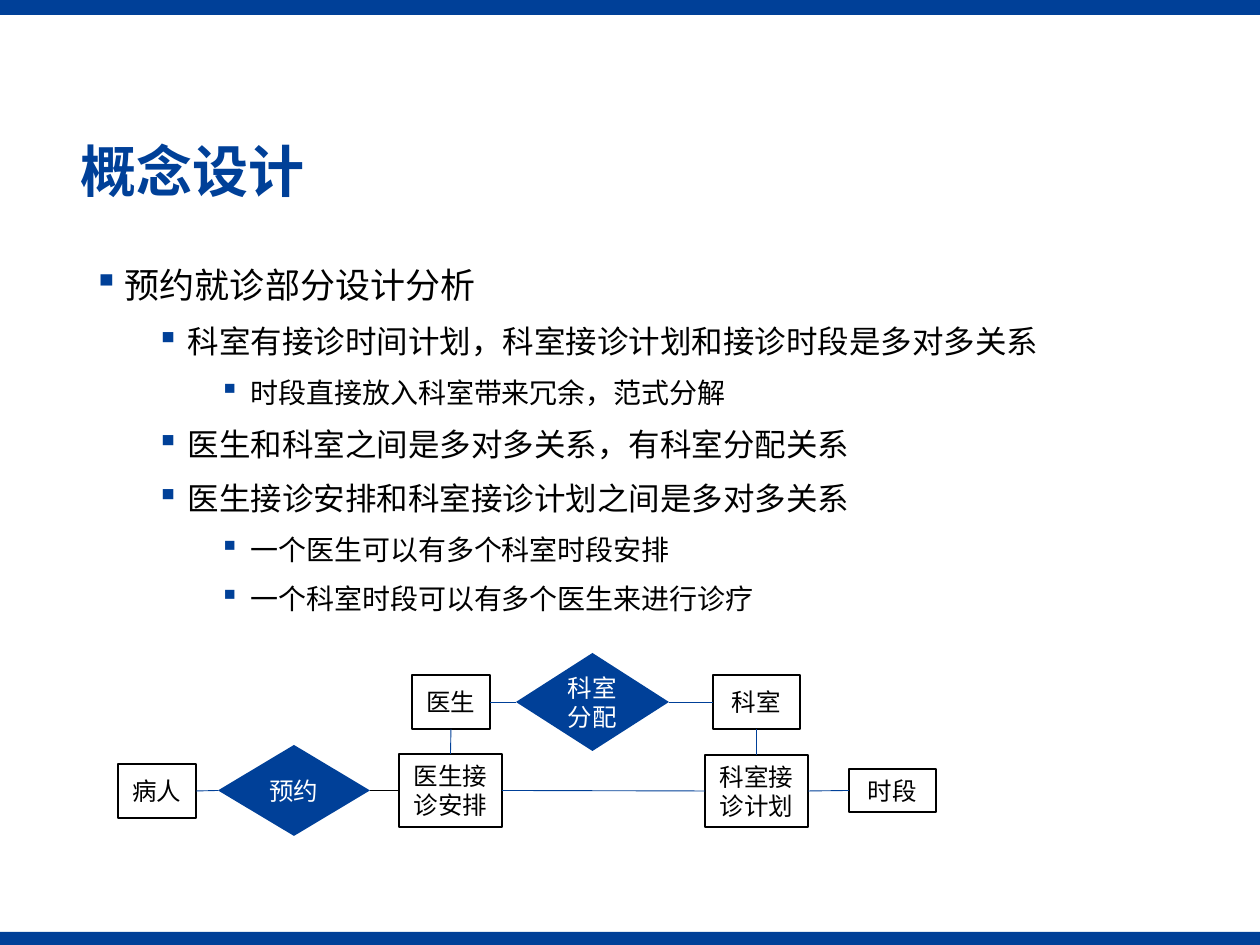
import pptx
import pptx.dml.color
import pptx.enum.shapes
import pptx.enum.text
import pptx.oxml.ns
import pptx.util
from lxml import etree

BLUE = pptx.dml.color.RGBColor(0x00, 0x40, 0x98)
BLACK = pptx.dml.color.RGBColor(0x00, 0x00, 0x00)
WHITE = pptx.dml.color.RGBColor(0xFF, 0xFF, 0xFF)
FONT = "Noto Sans CJK SC"
PX_PER_INCH = 126
WIDTH, HEIGHT = 1260, 945
SHAPES = pptx.enum.shapes.MSO_SHAPE
ANCHOR = pptx.enum.text.MSO_ANCHOR
ALIGN = pptx.enum.text.PP_ALIGN
TOP, LEFT, BOTTOM, RIGHT = range(4)

OUTLINE = [
    (0, "预约就诊部分设计分析"),
    (1, "科室有接诊时间计划，科室接诊计划和接诊时段是多对多关系"),
    (2, "时段直接放入科室带来冗余，范式分解"),
    (1, "医生和科室之间是多对多关系，有科室分配关系"),
    (1, "医生接诊安排和科室接诊计划之间是多对多关系"),
    (2, "一个医生可以有多个科室时段安排"),
    (2, "一个科室时段可以有多个医生来进行诊疗"),
]
LEVEL_SIZES = [20, 18, 16]
LEVEL_SPACES = [10, 5, 5]

ENTITIES = {
    "医生": (294, 22, 78, 54),
    "科室": (595, 22, 87, 54),
    "病人": (0, 111, 78, 54),
    "医生接诊安排": (281, 101, 103, 73),
    "科室接诊计划": (587, 102, 103, 72),
    "时段": (731, 116, 87, 43),
}
RELATIONS = {
    "科室分配": (398, 0, 153, 98),
    "预约": (100, 92, 152, 91),
}
LINKS = [
    ("医生", RIGHT, "科室分配", LEFT, BLUE),
    ("科室分配", RIGHT, "科室", LEFT, BLUE),
    ("病人", RIGHT, "预约", LEFT, BLUE),
    ("预约", RIGHT, "医生接诊安排", LEFT, BLACK),
    ("医生", BOTTOM, "医生接诊安排", TOP, BLUE),
    ("科室", BOTTOM, "科室接诊计划", TOP, BLUE),
    ("医生接诊安排", RIGHT, "科室接诊计划", LEFT, BLUE),
    ("科室接诊计划", RIGHT, "时段", LEFT, BLUE),
]


def px(length):
    """Turn pixels into EMU."""
    return pptx.util.Emu(round(length * 914400 / PX_PER_INCH))


def set_attributes(target, values):
    """Set each named attribute of the target."""
    for name, value in values.items():
        setattr(target, name, value)


def add_run(paragraph, text, size, color, bold=False):
    """Add a run in the slide's font, for Latin and East Asian text."""
    run = paragraph.add_run()
    run.text = text
    set_attributes(run.font, {"name": FONT, "size": pptx.util.Pt(size), "bold": bold})
    run.font.color.rgb = color
    properties = run.font._element
    etree.SubElement(properties, pptx.oxml.ns.qn("a:ea"), typeface=FONT)


def add_bullet(paragraph, level):
    """Give the paragraph a blue square bullet and a hanging indent."""
    properties = paragraph._p.get_or_add_pPr()
    hanging = pptx.util.Inches(0.25)
    properties.set("marL", str(hanging + level * pptx.util.Inches(0.5)))
    properties.set("indent", str(-hanging))
    color = etree.SubElement(properties, pptx.oxml.ns.qn("a:buClr"))
    etree.SubElement(color, pptx.oxml.ns.qn("a:srgbClr"), val=str(BLUE))
    etree.SubElement(properties, pptx.oxml.ns.qn("a:buChar"), char="▪")


def add_shape(slide, kind, box, fill, line=None):
    """Add a flat filled shape, outlined only when a line colour is given."""
    shape = slide.shapes.add_shape(kind, *map(px, box))
    shape.shadow.inherit = False
    shape.fill.solid()
    shape.fill.fore_color.rgb = fill
    if line is None:
        shape.line.fill.background()
    else:
        shape.line.color.rgb = line
        shape.line.width = pptx.util.Pt(1)
    return shape


def add_text_frame(slide, box, anchor):
    """Add a wrapping text box and return its frame."""
    frame = slide.shapes.add_textbox(*map(px, box)).text_frame
    set_attributes(frame, {"word_wrap": True, "vertical_anchor": anchor})
    return frame


def add_bands(slide, box):
    """Add the blue bands along the top and bottom of the box."""
    left, top, width, height = box
    for band_top, band_height in ((top, 15), (top + height - 13, 13)):
        add_shape(slide, SHAPES.RECTANGLE, (left, band_top, width, band_height), BLUE)


def add_title(slide, box, text):
    """Add the slide title."""
    paragraph = add_text_frame(slide, box, ANCHOR.MIDDLE).paragraphs[0]
    paragraph.line_spacing = 0.9
    add_run(paragraph, text, 32, BLUE, bold=True)


def add_outline(slide, box, items):
    """Add the bulleted outline."""
    frame = add_text_frame(slide, box, ANCHOR.TOP)
    for index, (level, text) in enumerate(items):
        paragraph = frame.add_paragraph() if index else frame.paragraphs[0]
        space = pptx.util.Pt(LEVEL_SPACES[level])
        set_attributes(paragraph, {"level": level, "line_spacing": 1.2, "space_before": space})
        add_bullet(paragraph, level)
        add_run(paragraph, text, LEVEL_SIZES[level], BLACK)


def add_node(slide, kind, box, text, fill, line, color):
    """Add one labelled node of the diagram."""
    shape = add_shape(slide, kind, box, fill, line)
    set_attributes(shape.text_frame, {"word_wrap": True, "vertical_anchor": ANCHOR.MIDDLE})
    paragraph = shape.text_frame.paragraphs[0]
    paragraph.alignment = ALIGN.CENTER
    add_run(paragraph, text, 14, color)
    return shape


def add_link(slide, start, start_side, end, end_side, color):
    """Join the sides of two nodes with a thin line."""
    straight = pptx.enum.shapes.MSO_CONNECTOR.STRAIGHT
    connector = slide.shapes.add_connector(straight, 0, 0, 0, 0)
    connector.begin_connect(start, start_side)
    connector.end_connect(end, end_side)
    connector.line.color.rgb = color
    connector.line.width = pptx.util.Pt(0.5)
    etree.SubElement(connector._element.spPr, pptx.oxml.ns.qn("a:effectLst"))


def add_diagram(slide, box):
    """Add the entity-relationship diagram from the corner of the box."""
    left, top = box[:2]
    groups = [
        (ENTITIES, SHAPES.RECTANGLE, WHITE, BLACK, BLACK),
        (RELATIONS, SHAPES.FLOWCHART_DECISION, BLUE, None, WHITE),
    ]
    nodes = {}
    for group, kind, fill, line, color in groups:
        for text, (x, y, width, height) in group.items():
            place = (left + x, top + y, width, height)
            nodes[text] = add_node(slide, kind, place, text, fill, line, color)
    for start, start_side, end, end_side, color in LINKS:
        add_link(slide, nodes[start], start_side, nodes[end], end_side, color)


def main():
    """Build and save the slide."""
    presentation = pptx.Presentation()
    set_attributes(presentation, {"slide_width": px(WIDTH), "slide_height": px(HEIGHT)})
    slide = presentation.slides.add_slide(presentation.slide_layouts[6])
    add_bands(slide, (0, 0, WIDTH, HEIGHT))
    add_outline(slide, (81, 249, 1099, 389), OUTLINE)
    add_title(slide, (68, 135, 1154, 79), "概念设计")
    add_diagram(slide, (118, 653, 818, 183))
    presentation.save("out.pptx")


if __name__ == "__main__":
    main()
